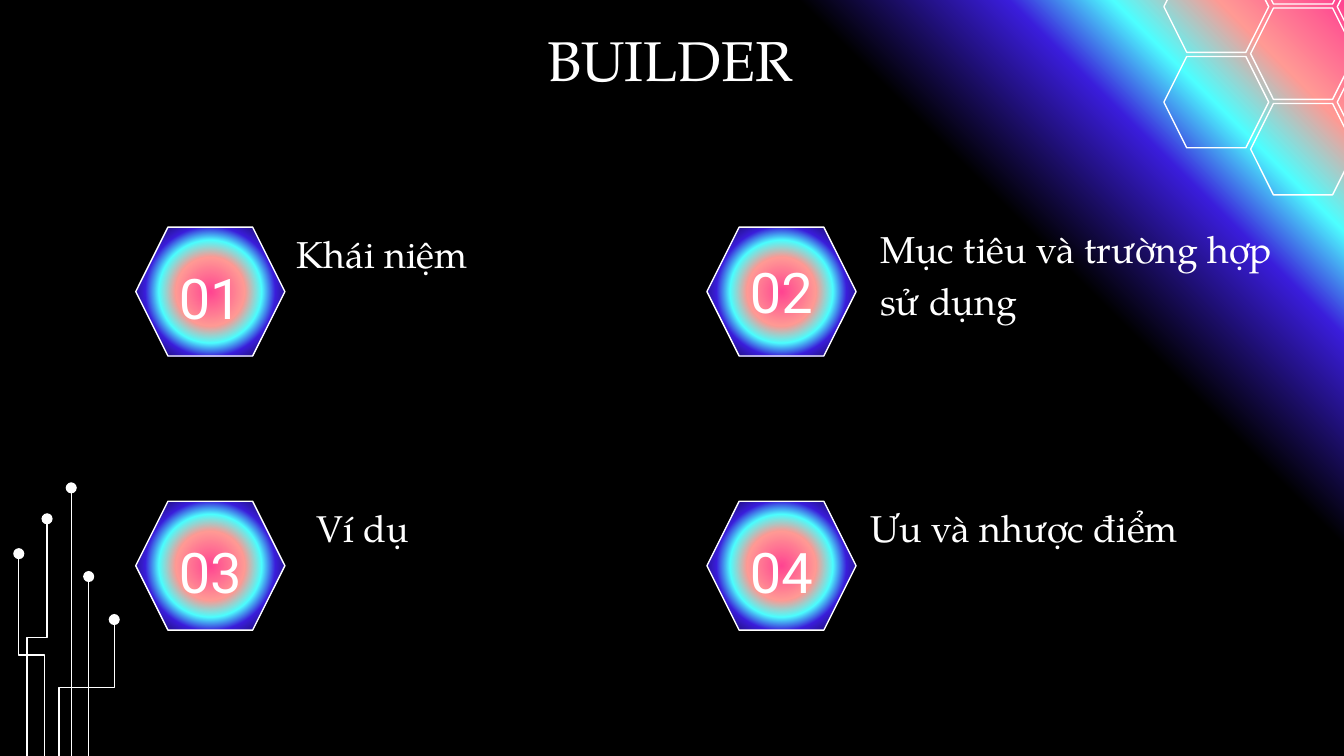
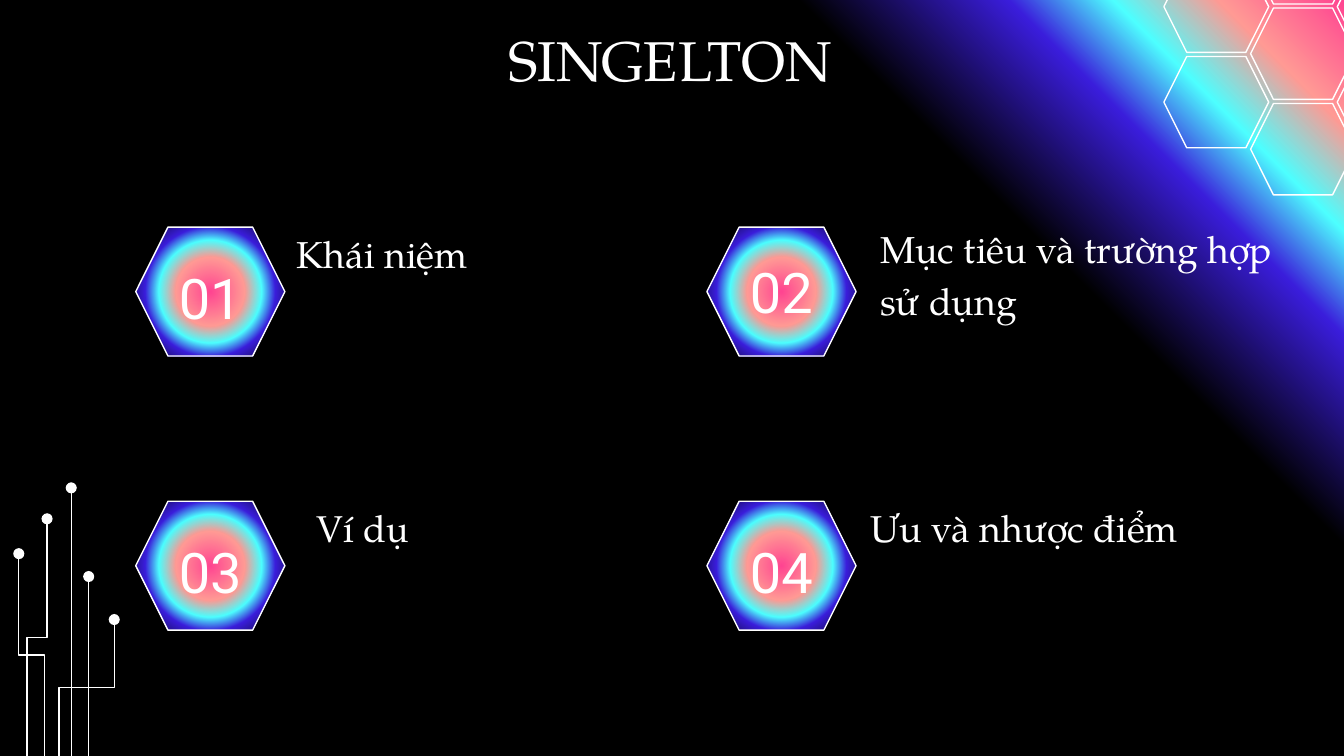
from lxml import etree
from pptx import Presentation
from pptx import util as u
from pptx.dml.color import RGBColor
from pptx.enum import shapes, text
from pptx.oxml.ns import qn

# Content
TITLES = ["BUILDER", "SINGELTON"]
# number, label, label offset from its hexagon, label width, line spacing of number, indent
TOPICS = [
    ("01", "Khái niệm", (1.1, -0.09), 2.55, 1.15, None),
    ("02", "Mục tiêu và trường hợp sử dụng", (1.19, 0.26), 3.23, 1.0, None),
    ("03", "Ví dụ", (1.1, -0.09), 2.55, 1.15, (0.5, -0.35)),
    ("04", "Ưu và nhược điểm", (1.12, -0.09), 2.55, 1.15, None),
]

# Shared look
W, H = 10, 10 * 9 / 16
WHITE, SERIF, SANS = "FFFFFF", "TeX Gyre Pagella", "Roboto"
SKY = [(0, "000000"), (74, "000000"), (84, "3A1DDB"), (89, "4DFFFF"),
       (94, "FF9A94"), (100, "FF4491")]
GLOW = [(0, "FF4491"), (35, "FF9A94"), (52, "4DFFFF"), (66, "3A1DDB"), (100, "000000")]

# Grids in inches
TOPIC_X, TOPIC_Y, TOPIC_DX, TOPIC_DY = 1.01, 1.69, 4.25, 2.04
BADGE = (1.11, 0.96)
NUMBER = (0.93, 0.7)
LABEL_H = 0.55
CELL = (0.78, 0.68)
CELL_X, CELL_DX, CELL_DY = 8.66, 0.645, 0.71
CELL_COLUMNS = [(-0.29, 2), (-0.65, 3), (-0.29, 2)]  # top, count
# start x at the bottom edge, end x, end y
CIRCUIT = [(0.33, 0.14, 4.12), (0.2, 0.35, 3.86), (0.66, 0.66, 4.29),
           (0.53, 0.53, 3.63), (0.44, 0.85, 4.61)]


def color(value):
    return RGBColor.from_string(value)


def inches(*values):
    return [u.Inches(v) for v in values]


def set_gradient(fill, owner, stops, angle=None):
    """Linear gradient when an angle is given, otherwise from the centre out."""
    fill.gradient()
    grad = next(owner.iter(qn("a:gradFill")))
    for child in list(grad):
        grad.remove(child)
    gs_list = etree.SubElement(grad, qn("a:gsLst"))
    for pos, value in stops:
        gs = etree.SubElement(gs_list, qn("a:gs"), pos=str(pos * 1000))
        etree.SubElement(gs, qn("a:srgbClr"), val=value)
    if angle is not None:
        etree.SubElement(grad, qn("a:lin"), ang=str(angle * 60000), scaled="0")
    else:
        circle = etree.SubElement(grad, qn("a:path"))
        circle.set("path", "circle")
        sides = dict.fromkeys("ltrb", "50000")
        etree.SubElement(circle, qn("a:fillToRect"), **sides)


def set_line(sp):
    sp.line.color.rgb = color(WHITE)
    sp.line.width = u.Pt(0.75)


def write(sp, content, font, size, align, anchor, spacing=1.0, indent=None):
    tf = sp.text_frame
    frame = {"word_wrap": True, "auto_size": text.MSO_AUTO_SIZE.NONE,
             "vertical_anchor": anchor}
    frame.update({f"margin_{side}": u.Inches(0.1)
                  for side in ("left", "right", "top", "bottom")})
    for name, value in frame.items():
        setattr(tf, name, value)
    p = tf.paragraphs[0]
    p.alignment, p.line_spacing = align, spacing
    if indent:
        for name, value in zip(("marL", "indent"), indent):
            p._p.get_or_add_pPr().set(name, str(u.Inches(value)))
    r = p.add_run()
    r.text = content
    for name, value in {"name": font, "size": u.Pt(size), "bold": False}.items():
        setattr(r.font, name, value)
    r.font.color.rgb = color(WHITE)


def add_hexagon(s, x, y, size):
    sp = s.shapes.add_shape(shapes.MSO_SHAPE.HEXAGON, *inches(x, y, *size))
    sp.adjustments[0] = 0.25
    sp.shadow.inherit = False
    sp.fill.background()
    set_line(sp)
    return sp


def add_trace(s, x0, x1, top):
    """Circuit trace rising from the bottom edge to a dot."""
    if x0 == x1:
        sp = s.shapes.add_connector(shapes.MSO_CONNECTOR.STRAIGHT,
                                    *inches(x0, H, x1, top))
    else:
        # An elbow leaves sideways, so lay it flat and turn it upright
        side = 1 if x1 > x0 else -1
        mid_x, mid_y = (x0 + x1) / 2, (H + top) / 2
        run, rise = side * (H - top) / 2, abs(x1 - x0) / 2
        sp = s.shapes.add_connector(
            shapes.MSO_CONNECTOR.ELBOW,
            *inches(mid_x - run, mid_y - rise, mid_x + run, mid_y + rise))
        turn = 270 if side > 0 else 90
        sp._element.spPr.find(qn("a:xfrm")).set("rot", str(turn * 60000))
    set_line(sp)
    etree.SubElement(sp.line._get_or_add_ln(), qn("a:tailEnd"), type="oval")
    etree.SubElement(sp._element.spPr, qn("a:effectLst"))


def add_decor(s):
    set_gradient(s.background.fill, s._element, SKY, 315)
    for trace in CIRCUIT:
        add_trace(s, *trace)
    for col, (top, count) in enumerate(CELL_COLUMNS):
        for row in range(count):
            add_hexagon(s, CELL_X + col * CELL_DX, top + row * CELL_DY, CELL)


def add_topic(s, i, number, label, offset, width, spacing, indent):
    row, col = divmod(i, 2)
    x, y = TOPIC_X + col * TOPIC_DX, TOPIC_Y + row * TOPIC_DY
    badge = add_hexagon(s, x, y, BADGE)
    set_gradient(badge.fill, badge._element, GLOW)
    # Number centred on the badge
    nx, ny = ((b - n) / 2 for b, n in zip(BADGE, NUMBER))
    sp = s.shapes.add_textbox(*inches(x + nx, y + ny, *NUMBER))
    write(sp, number, SANS, 30, text.PP_ALIGN.CENTER, text.MSO_ANCHOR.MIDDLE, spacing)
    # Label on the right
    sp = s.shapes.add_textbox(*inches(x + offset[0], y + offset[1], width, LABEL_H))
    write(sp, label, SERIF, 20, text.PP_ALIGN.LEFT, text.MSO_ANCHOR.BOTTOM, 1.15, indent)


def add_slide(prs, title):
    s = prs.slides.add_slide(prs.slide_layouts[5])
    add_decor(s)
    sp = s.shapes.title
    sp.left, sp.top, sp.width, sp.height = inches(0.77, 0.09, 8.43, 0.63)
    write(sp, title, SERIF, 30, text.PP_ALIGN.CENTER, text.MSO_ANCHOR.TOP)
    for i, topic in enumerate(TOPICS):
        add_topic(s, i, *topic)


def main():
    prs = Presentation()
    prs.slide_width, prs.slide_height = inches(W, H)
    for title in TITLES:
        add_slide(prs, title)
    prs.save("out.pptx")


if __name__ == "__main__":
    main()
